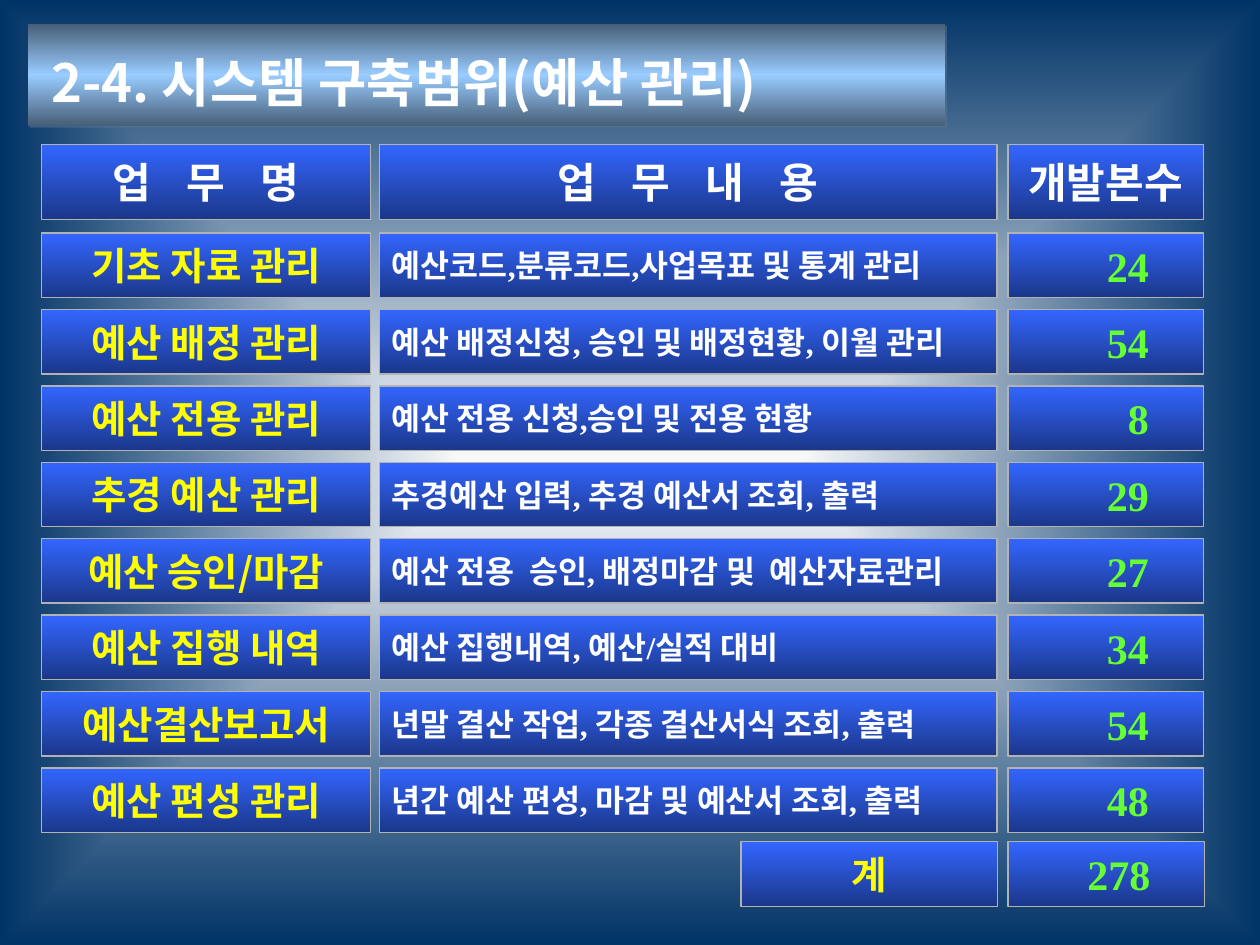
import pptx
import pptx.dml.color
import pptx.enum.shapes
import pptx.enum.text
import pptx.oxml.ns
import pptx.util
from lxml import etree

Cm = pptx.util.Cm
Pt = pptx.util.Pt
RGBColor = pptx.dml.color.RGBColor
Align = pptx.enum.text.PP_ALIGN
qn = pptx.oxml.ns.qn

WHITE = RGBColor(0xFF, 0xFF, 0xFF)
YELLOW = RGBColor(0xFF, 0xFF, 0x00)
GREEN = RGBColor(0x66, 0xFF, 0x33)
NAVY = RGBColor(0x00, 0x33, 0x66)
SLATE = RGBColor(0x47, 0x5E, 0x76)
SKY = RGBColor(0x99, 0xCC, 0xFF)
SHADOW = RGBColor(0x5B, 0x79, 0x98)
BLUE = RGBColor(0x33, 0x66, 0xFF)
DEEP_BLUE = RGBColor(0x1B, 0x37, 0x8A)
BORDER = RGBColor(0xB2, 0xB2, 0xB2)

KOREAN = "Noto Sans CJK KR"
SERIF = "Times New Roman"

TITLE = {"size": Pt(30), "name": KOREAN, "color": WHITE}
HEADER = {"size": Pt(24), "name": KOREAN, "color": WHITE}
TASK = {"size": Pt(22), "name": KOREAN, "color": YELLOW}
DETAIL = {"size": Pt(18), "name": SERIF, "color": WHITE}
COUNT = {"size": Pt(24), "name": SERIF, "color": GREEN}

COLUMNS = [(0.84, 6.63), (7.65, 12.45), (20.32, 3.94)]
HEADER_TOP, HEADER_HEIGHT = 2.92, 1.5
ROW_TOP, ROW_PITCH, ROW_HEIGHT = 4.7, 1.54, 1.3
TOTAL_TOP = 16.97
MARGIN, COUNT_MARGIN = 0.25, 1.1

HEADINGS = [("업 무 명", 7.4), ("업 무 내 용", 7.4), ("개발본수", 0)]
ROWS = [
    ("기초 자료 관리", "예산코드,분류코드,사업목표 및 통계 관리", 24),
    ("예산 배정 관리", "예산 배정신청, 승인 및 배정현황, 이월 관리", 54),
    ("예산 전용 관리", "예산 전용 신청,승인 및 전용 현황", 8),
    ("추경 예산 관리", "추경예산 입력, 추경 예산서 조회, 출력", 29),
    ("예산 승인/마감", "예산 전용  승인, 배정마감 및  예산자료관리", 27),
    ("예산 집행 내역", "예산 집행내역, 예산/실적 대비", 34),
    ("예산결산보고서", "년말 결산 작업, 각종 결산서식 조회, 출력", 54),
    ("예산 편성 관리", "년간 예산 편성, 마감 및 예산서 조회, 출력", 48),
]


class BudgetSlide:
    def __init__(self, presentation):
        self.slide = presentation.slides.add_slide(presentation.slide_layouts[5])

    def gradient(self, fill, element, colors, from_center=False):
        fill.gradient()
        gradient = element.find(".//" + qn("a:gradFill"))
        for child in list(gradient):
            gradient.remove(child)
        stops = etree.SubElement(gradient, qn("a:gsLst"))
        for index, color in enumerate(colors):
            position = 100000 * index // (len(colors) - 1)
            stop = etree.SubElement(stops, qn("a:gs"), pos=str(position))
            etree.SubElement(stop, qn("a:srgbClr"), val=str(color))
        if from_center:
            center = etree.SubElement(gradient, qn("a:path"), {"path": "rect"})
            sides = dict.fromkeys("ltrb", "50000")
            etree.SubElement(center, qn("a:fillToRect"), sides)
        else:
            etree.SubElement(gradient, qn("a:lin"), ang="5400000", scaled="1")

    def background(self):
        fill = self.slide.background.fill
        self.gradient(fill, self.slide.element, [WHITE, NAVY], True)

    def set_text(self, shape, text, style, align, left=MARGIN, right=MARGIN, spacing=0):
        frame = shape.text_frame
        frame_format = {
            "word_wrap": True,
            "auto_size": pptx.enum.text.MSO_AUTO_SIZE.NONE,
            "vertical_anchor": pptx.enum.text.MSO_ANCHOR.MIDDLE,
            "margin_left": Cm(left),
            "margin_right": Cm(right),
            "margin_top": Cm(0.13),
            "margin_bottom": Cm(0.13),
        }
        for name, value in frame_format.items():
            setattr(frame, name, value)
        paragraph = frame.paragraphs[0]
        paragraph.alignment = align
        run = paragraph.add_run()
        run.text = text
        for name, value in {"bold": True, **style}.items():
            if name == "color":
                run.font.color.rgb = value
            else:
                setattr(run.font, name, value)
        properties = run.font._element
        etree.SubElement(properties, qn("a:ea"), typeface=KOREAN)
        if spacing:
            properties.set("spc", str(round(spacing * 100)))
        return paragraph

    def title(self, text):
        shape = self.slide.shapes.title
        place = {"left": 0.56, "top": 0.48, "width": 18.49, "height": 2.06}
        for name, value in place.items():
            setattr(shape, name, Cm(value))
        self.gradient(shape.fill, shape.element, [SLATE, SKY, SLATE])
        shape.shadow.inherit = False
        effects = shape.element.find(".//" + qn("a:effectLst"))
        shadow = etree.SubElement(
            effects, qn("a:outerShdw"), dist=str(Pt(1.4)), dir="2700000", algn="ctr", rotWithShape="0"
        )
        color = etree.SubElement(shadow, qn("a:srgbClr"), val=str(SHADOW))
        etree.SubElement(color, qn("a:alpha"), val="50000")
        paragraph = self.set_text(shape, text, TITLE, Align.LEFT, left=0.48)
        paragraph.line_spacing = 1.2

    def box(self, left, top, width, height, text, style, align=Align.CENTER, **options):
        shape = self.slide.shapes.add_shape(
            pptx.enum.shapes.MSO_SHAPE.RECTANGLE, Cm(left), Cm(top), Cm(width), Cm(height)
        )
        self.gradient(shape.fill, shape.element, [BLUE, DEEP_BLUE])
        shape.line.color.rgb = BORDER
        shape.line.width = Pt(0.75)
        shape.shadow.inherit = False
        self.set_text(shape, text, style, align, **options)

    def count(self, left, top, width, number):
        self.box(left, top, width, ROW_HEIGHT, str(number), COUNT, Align.RIGHT, right=COUNT_MARGIN)

    def header(self):
        for (left, width), (text, spacing) in zip(COLUMNS, HEADINGS):
            self.box(left, HEADER_TOP, width, HEADER_HEIGHT, text, HEADER, spacing=spacing)

    def row(self, top, task, detail, number):
        (task_left, task_width), (detail_left, detail_width), (count_left, count_width) = COLUMNS
        self.box(task_left, top, task_width, ROW_HEIGHT, task, TASK)
        self.box(detail_left, top, detail_width, ROW_HEIGHT, detail, DETAIL, Align.LEFT)
        self.count(count_left, top, count_width, number)

    def total(self):
        self.box(14.94, TOTAL_TOP, 5.17, ROW_HEIGHT, "계", TASK)
        self.count(COLUMNS[2][0], TOTAL_TOP, 3.97, sum(number for _, _, number in ROWS))


def main():
    presentation = pptx.Presentation()
    presentation.slide_width = Cm(25.4)
    presentation.slide_height = Cm(19.05)
    budget = BudgetSlide(presentation)
    budget.background()
    budget.title("2-4. 시스템 구축범위(예산 관리)")
    budget.header()
    for index, row in enumerate(ROWS):
        budget.row(ROW_TOP + index * ROW_PITCH, *row)
    budget.total()
    presentation.save("out.pptx")


if __name__ == "__main__":
    main()
